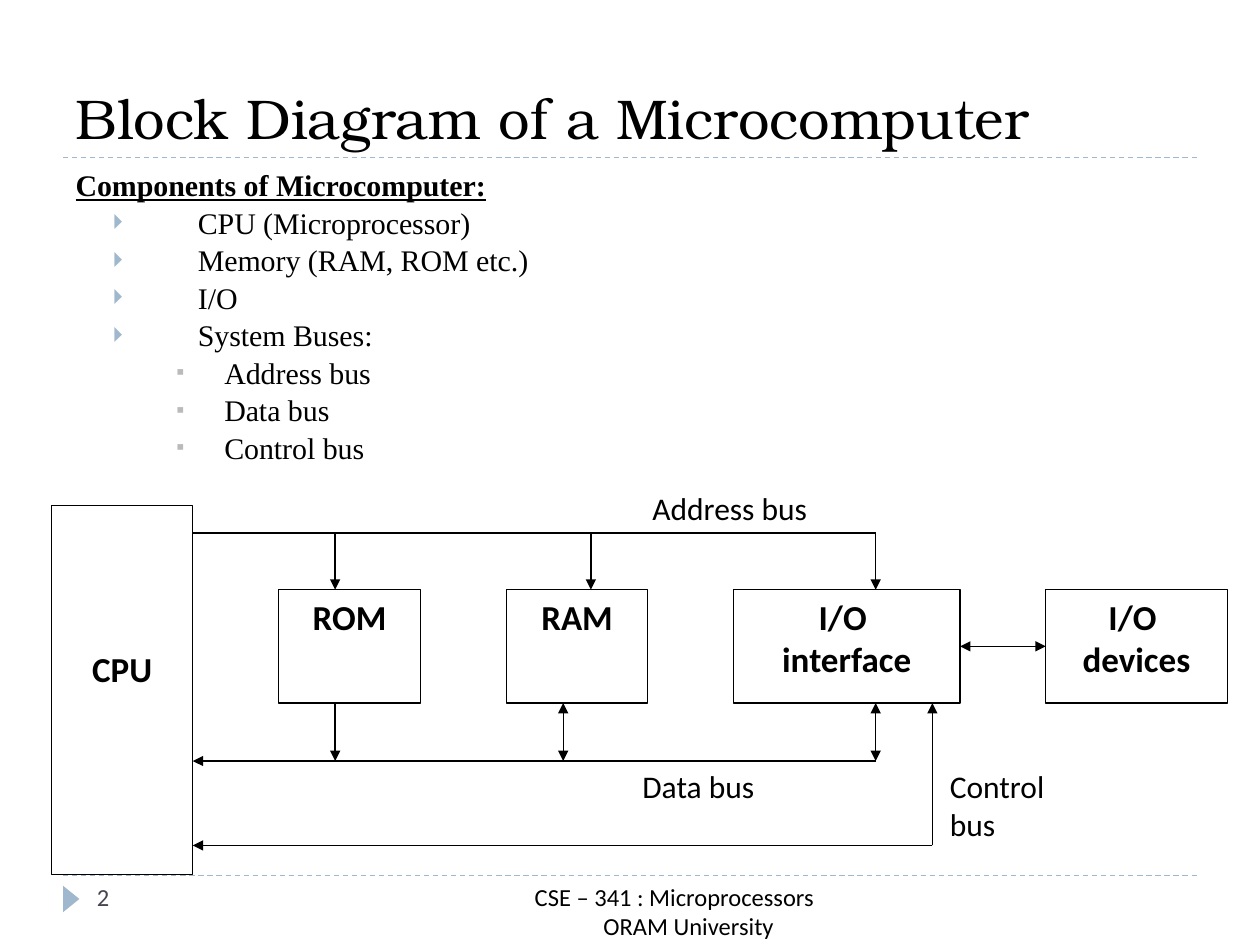
from pptx import Presentation
from pptx.dml.color import RGBColor
from pptx.enum.dml import MSO_LINE
from pptx.enum.shapes import MSO_CONNECTOR, MSO_SHAPE
from pptx.enum.text import MSO_ANCHOR, MSO_AUTO_SIZE, PP_ALIGN
from pptx.oxml.ns import qn
from pptx.util import Inches, Pt
from lxml.etree import SubElement

BLACK, WHITE, ACCENT, GREY, SLATE = "000000", "FFFFFF", "9FB8CD", "BABABA", "464653"
COMPONENTS = [
    ("Components of Microcomputer:", 0),
    ("CPU (Microprocessor)", 1),
    ("Memory (RAM, ROM etc.)", 1),
    ("I/O", 1),
    ("System Buses:", 1),
    ("Address bus", 2),
    ("Data bus", 2),
    ("Control bus", 2),
]
LEVELS = [(0.3, 0.3, None, None), (0.97, 0.67, "🞂", ACCENT), (1.18, 0.38, "▪", GREY)]


def color(value):
    return RGBColor.from_string(value)


def style(paragraph, size, font="Calibri", fill=BLACK, bold=False, align=PP_ALIGN.LEFT):
    paragraph.alignment = align
    for run in paragraph.runs:
        run.font.size = Pt(size)
        run.font.name = font
        run.font.bold = bold
        run.font.color.rgb = color(fill)


def place(shape, left, top, width, height):
    shape.left, shape.top = Inches(left), Inches(top)
    shape.width, shape.height = Inches(width), Inches(height)


def add_label(slide, text, left, top, width, height, size, **options):
    label = slide.shapes.add_textbox(Inches(left), Inches(top), Inches(width), Inches(height))
    frame = label.text_frame
    frame.word_wrap = True
    frame.text = text
    for paragraph in frame.paragraphs:
        style(paragraph, size, **options)
    return frame


def add_line(slide, start, end, fill=BLACK, heads=()):
    line = slide.shapes.add_connector(MSO_CONNECTOR.STRAIGHT, *map(Inches, start + end))
    line.line.color.rgb = color(fill)
    line.line.width = Pt(0.75)
    for side in heads:
        SubElement(line.line._get_or_add_ln(), qn(f"a:{side}End"), type="triangle")
    SubElement(line._element.spPr, qn("a:effectLst"))
    return line


def add_block(slide, text, left, top, width, height, kind=MSO_SHAPE.RECTANGLE):
    block = slide.shapes.add_shape(kind, Inches(left), Inches(top), Inches(width), Inches(height))
    block.shadow.inherit = False
    block.fill.solid()
    block.fill.fore_color.rgb = color(WHITE)
    block.line.color.rgb = color(BLACK)
    block.line.width = Pt(0.75)
    frame = block.text_frame
    frame.vertical_anchor = MSO_ANCHOR.TOP
    frame.text = text
    for paragraph in frame.paragraphs:
        style(paragraph, 20, bold=True, align=PP_ALIGN.CENTER)
    return frame


def fill_title(slide, left, top, width, height):
    title = slide.shapes.title
    place(title, left, top, width, height)
    frame = title.text_frame
    frame.text = "Block Diagram of a Microcomputer"
    frame.auto_size = MSO_AUTO_SIZE.NONE
    frame.vertical_anchor = MSO_ANCHOR.BOTTOM
    style(frame.paragraphs[0], 32, font="TeX Gyre Bonum")
    rule = add_line(slide, (left, top + height), (left + width, top + height), ACCENT)
    rule.line.dash_style = MSO_LINE.DASH


def fill_components(slide, left, top, width, height):
    body = slide.placeholders[1]
    place(body, left, top, width, height)
    frame = body.text_frame
    frame.text = "\n".join(text for text, _ in COMPONENTS)
    frame.auto_size = MSO_AUTO_SIZE.NONE
    for paragraph, (_, level) in zip(frame.paragraphs, COMPONENTS):
        margin, hanging, bullet, bullet_color = LEVELS[level]
        style(paragraph, 17.1, font="Times New Roman", bold=level == 0)
        paragraph.runs[0].font.underline = level == 0
        paragraph.level = level
        paragraph.line_spacing = 0.8
        paragraph.space_before = Pt(5 if level else 0)
        props = paragraph._p.get_or_add_pPr()
        props.set("marL", str(Inches(margin)))
        props.set("indent", str(-Inches(hanging)))
        if bullet:
            SubElement(SubElement(props, qn("a:buClr")), qn("a:srgbClr"), val=bullet_color)
            SubElement(props, qn("a:buSzPct"), val="76000")
            SubElement(props, qn("a:buChar"), char=bullet)
        else:
            SubElement(props, qn("a:buNone"))


def draw_diagram(slide, left, top, cpu_width, height):
    cpu_edge = left + cpu_width
    address, block_top, data, control = (top + drop for drop in (0.22, 0.67, 2.03, 2.7))
    block_height = 0.9
    block_bottom = block_top + block_height
    rom, ram_in, ram_out, io, io_control = (left + x for x in (2.25, 4.28, 4.06, 6.54, 6.99))

    cpu = add_block(slide, "CPU", left, top, cpu_width, height, MSO_SHAPE.FLOWCHART_PROCESS)
    cpu.margin_top = Inches(1.13)
    for text, offset, width in [
        ("ROM", 1.8, 1.13),
        ("RAM", 3.61, 1.12),
        ("I/O \ninterface", 5.41, 1.8),
        ("I/O \ndevices", 7.89, 1.44),
    ]:
        add_block(slide, text, left + offset, block_top, width, block_height)

    both = ("head", "tail")
    add_line(slide, (cpu_edge, address), (io, address))
    for x in (rom, ram_in, io):
        add_line(slide, (x, address), (x, block_top), heads=("tail",))
    add_line(slide, (rom, block_bottom), (rom, data), heads=("tail",))
    for x in (ram_out, io):
        add_line(slide, (x, data), (x, block_bottom), heads=both)
    add_line(slide, (io, data), (cpu_edge, data), heads=("tail",))
    for end in [(cpu_edge, control), (io_control, block_bottom)]:
        add_line(slide, (io_control, control), end, heads=("tail",))
    link = block_top + block_height / 2
    add_line(slide, (left + 7.21, link), (left + 7.89, link), heads=both)

    add_label(slide, "Address bus", left + 4.67, address - 0.4, 1.65, 0.4, 18)
    add_label(slide, "Data bus", left + 4.59, data, 1.65, 0.4, 18)
    add_label(slide, "Control bus", left + 7.03, data, 1.1, 0.7, 18)


def draw_footer(slide, left, top, width):
    rule = add_line(slide, (left, top), (left + width, top), ACCENT)
    rule.line.dash_style = MSO_LINE.DASH
    marker = slide.shapes.add_shape(
        MSO_SHAPE.ISOSCELES_TRIANGLE,
        Inches(left - 0.04), Inches(top + 0.12), Inches(0.21), Inches(0.13),
    )
    marker.rotation = 90
    marker.shadow.inherit = False
    marker.fill.solid()
    marker.fill.fore_color.rgb = color(ACCENT)
    marker.line.fill.background()
    add_label(slide, "2", left + 0.17, top, 2.17, 0.4, 14, fill=SLATE)
    course = add_label(
        slide, "CSE – 341 : Microprocessors \nORAM University",
        left + 1.5, top, 6.75, 0.4, 14, align=PP_ALIGN.CENTER,
    )
    course.paragraphs[1]._p.get_or_add_pPr().set("marL", str(Inches(0.18)))


def main():
    deck = Presentation()
    deck.slide_width, deck.slide_height = Inches(10), Inches(7.5)
    slide = deck.slides.add_slide(deck.slide_layouts[1])
    fill_title(slide, 0.5, 0.17, 9, 1.08)
    draw_footer(slide, 0.5, 6.95, 9)
    fill_components(slide, 0.5, 1.33, 9, 2.5)
    draw_diagram(slide, 0.41, 4.01, 1.12, 2.93)
    deck.save("out.pptx")


if __name__ == "__main__":
    main()
